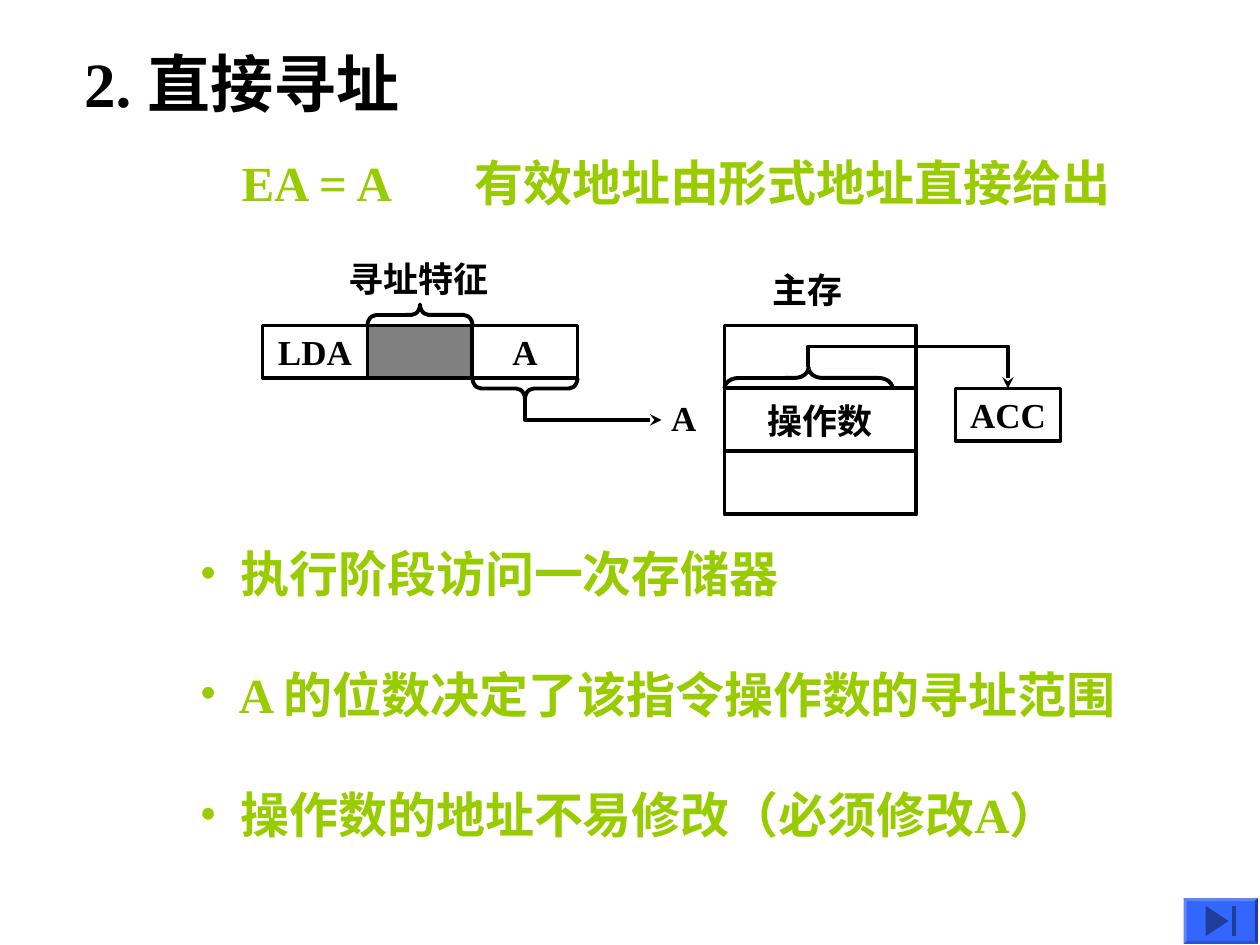
from typing import NamedTuple

from lxml import etree
from pptx import Presentation, util as u
from pptx.dml.color import RGBColor
from pptx.enum import shapes, text
from pptx.oxml.ns import qn

FONT = "Times New Roman"
BLACK = "000000"
GREEN = "99CC00"
GRAY = "808080"
LINE_WIDTH = 2.25
BULLET_INDENT = 17


class Label(NamedTuple):
    left: float
    top: float
    width: float
    height: float
    words: str
    size: float = 20
    color: str = BLACK
    bullet: bool = False


class Cell(NamedTuple):
    left: float
    top: float
    width: float
    height: float
    words: str = ""
    fill: str = ""


class Brace(NamedTuple):
    left: float
    top: float
    length: float
    rotation: int


class Facet(NamedTuple):
    points: list
    color: str


def rgb(value: str) -> RGBColor:
    return RGBColor.from_string(value)


def outline(shape) -> None:
    shape.shadow.inherit = False
    shape.line.color.rgb = rgb(BLACK)
    shape.line.width = u.Pt(LINE_WIDTH)


def write(paragraph, words: str, size: float, color: str) -> None:
    run = paragraph.add_run()
    run.text = words
    run.font.name = FONT
    run.font.size = u.Pt(size)
    run.font.bold = True
    run.font.color.rgb = rgb(color)


def add_bullet(paragraph) -> None:
    properties = paragraph._p.get_or_add_pPr()
    properties.set("marL", str(u.Pt(BULLET_INDENT)))
    properties.set("indent", str(-u.Pt(BULLET_INDENT)))
    etree.SubElement(properties, qn("a:buFont")).set("typeface", FONT)
    etree.SubElement(properties, qn("a:buChar")).set("char", "•")


def draw_label(slide, label: Label) -> None:
    box = slide.shapes.add_textbox(*map(u.Pt, label[:4]))
    box.text_frame.word_wrap = True
    paragraph = box.text_frame.paragraphs[0]
    if label.bullet:
        add_bullet(paragraph)
    write(paragraph, label.words, label.size, label.color)


def draw_cell(slide, cell: Cell) -> None:
    box = slide.shapes.add_shape(shapes.MSO_SHAPE.RECTANGLE, *map(u.Pt, cell[:4]))
    outline(box)
    if cell.fill:
        box.fill.solid()
        box.fill.fore_color.rgb = rgb(cell.fill)
    else:
        box.fill.background()
    if cell.words:
        frame = box.text_frame
        frame.word_wrap = False
        frame.vertical_anchor = text.MSO_ANCHOR.MIDDLE
        frame.paragraphs[0].alignment = text.PP_ALIGN.CENTER
        write(frame.paragraphs[0], cell.words, 20, BLACK)


def draw_brace(slide, brace: Brace, depth: float = 12) -> None:
    left = brace.left + (brace.length - depth) / 2
    top = brace.top + (depth - brace.length) / 2
    shape = slide.shapes.add_shape(
        shapes.MSO_SHAPE.LEFT_BRACE, *map(u.Pt, (left, top, depth, brace.length)))
    shape.adjustments[0] = brace.length / 12 / depth
    shape.rotation = brace.rotation
    shape.fill.background()
    outline(shape)


def trace(slide, points: list, close: bool):
    corners = [(u.Pt(x), u.Pt(y)) for x, y in points]
    builder = slide.shapes.build_freeform(*corners[0])
    builder.add_line_segments(corners[1:], close=close)
    return builder.convert_to_shape()


def draw_arrow(slide, points: list) -> None:
    arrow = trace(slide, points, close=False)
    arrow.fill.background()
    outline(arrow)
    etree.SubElement(arrow.line._get_or_add_ln(), qn("a:tailEnd")).set("type", "stealth")


def draw_facet(slide, facet: Facet) -> None:
    shape = trace(slide, facet.points, close=True)
    shape.shadow.inherit = False
    shape.fill.solid()
    shape.fill.fore_color.rgb = rgb(facet.color)
    shape.line.fill.background()


def next_button(left: float, top: float, right: float, bottom: float) -> list[Facet]:
    bevel = 1.7
    outer = [(left, top), (right, top), (right, bottom), (left, bottom)]
    inner = [(left + bevel, top + bevel), (right - bevel, top + bevel),
             (right - bevel, bottom - bevel), (left + bevel, bottom - bevel)]
    facets = [Facet(outer, "3366FF")]
    for side, color in enumerate(["5C85FF", "1F3D99", "2952CC", "5C85FF"]):
        after = (side + 1) % 4
        facets.append(Facet([outer[side], outer[after], inner[after], inner[side]], color))
    middle = (top + bottom) / 2
    low, high = middle - 8.6, middle + 8.6
    glyph = "1F3D99"
    facets.append(Facet([(702, middle), (689, high), (689, low)], glyph))
    facets.append(Facet([(704, low), (704, high), (706.2, high), (706.2, low)], glyph))
    return facets


LABELS = [
    Label(41, 22, 208, 50.4, "2. 直接寻址", 36),
    Label(131, 83.5, 110, 41, "EA = A", 28, GREEN),
    Label(264, 83.5, 414, 41, "有效地址由形式地址直接给出", 28, GREEN),
    Label(434.5, 150, 70, 31.5, "主存"),
    Label(192, 143.5, 100, 31.5, "寻址特征"),
    Label(376.5, 223, 36, 31.5, "A"),
    Label(107, 307, 352, 41, " 执行阶段访问一次存储器", 28, GREEN, bullet=True),
    Label(107, 376, 545, 41, " A 的位数决定了该指令操作数的寻址范围", 28, GREEN, bullet=True),
    Label(107, 445, 509, 75, " 操作数的地址不易修改（必须修改A）", 28, GREEN, bullet=True),
]
INSTRUCTION = [Cell(150 + 60 * i, 186, 60, 30, words, fill)
               for i, (words, fill) in enumerate([("LDA", ""), ("", GRAY), ("A", "")])]
MEMORY = [Cell(414, 186 + 36 * i, 109.5, 36, words)
          for i, words in enumerate(["", "操作数", ""])]
ACCUMULATOR = Cell(546, 222, 60, 30, "ACC")
BRACES = [Brace(210, 174, 60, 90), Brace(270, 216, 60, 270), Brace(414, 210, 96, 90)]
ARROWS = [
    [(300, 228), (300, 240), (378, 240)],
    [(462, 210), (462, 198), (576, 198), (576, 222)],
]


def main() -> None:
    deck = Presentation()
    deck.slide_width, deck.slide_height = u.Pt(720), u.Pt(540)
    slide = deck.slides.add_slide(deck.slide_layouts[6])
    for cell in [*MEMORY, *INSTRUCTION, ACCUMULATOR]:
        draw_cell(slide, cell)
    for brace in BRACES:
        draw_brace(slide, brace)
    for points in ARROWS:
        draw_arrow(slide, points)
    for label in LABELS:
        draw_label(slide, label)
    for facet in next_button(676.4, 513.2, 718.8, 539.4):
        draw_facet(slide, facet)
    deck.save("out.pptx")


if __name__ == "__main__":
    main()
